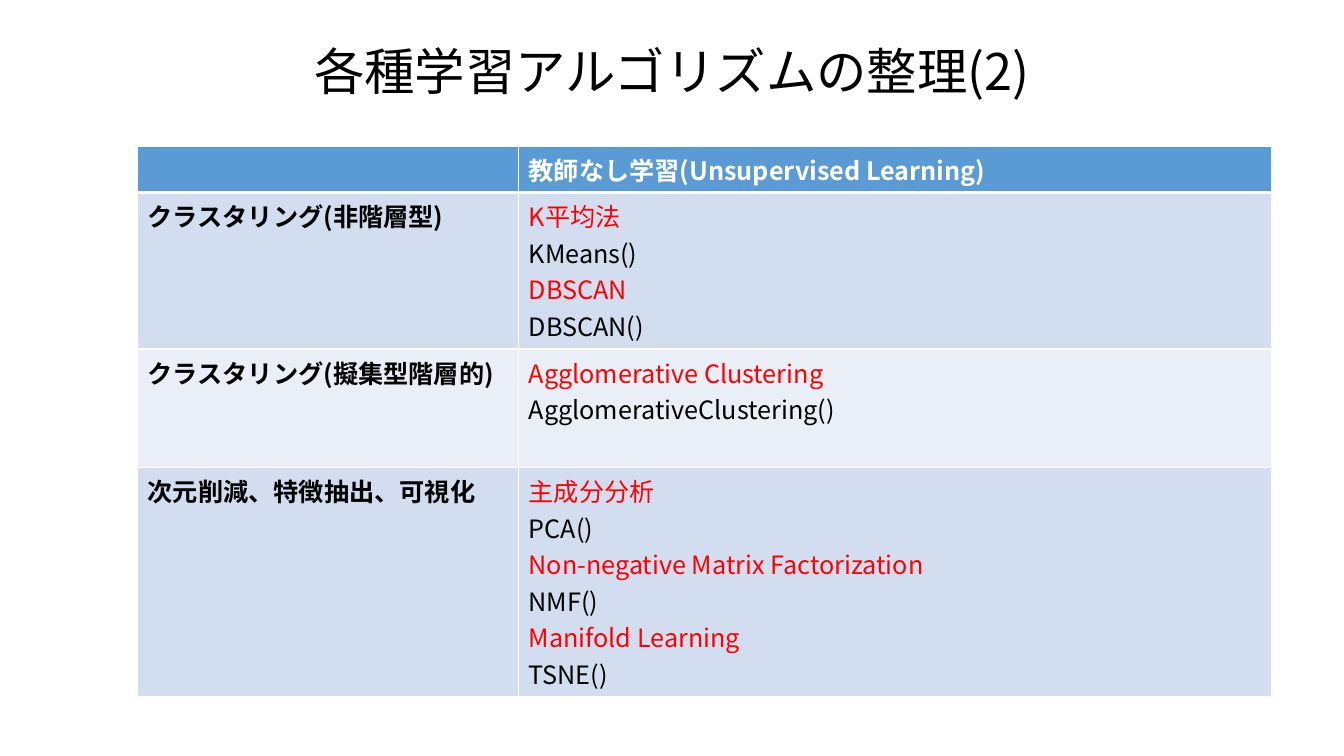
from lxml.etree import SubElement
from pptx import Presentation
from pptx.dml.color import RGBColor
from pptx.enum.text import MSO_ANCHOR as Anchor, MSO_AUTO_SIZE as AutoSize, PP_ALIGN as Align
from pptx.oxml.ns import qn
from pptx.util import Emu, Pt

PX = 9525
FONT = "Noto Sans CJK JP"
BLACK, WHITE, RED = "000000", "FFFFFF", "FF0000"
HEADER_FILL = "5B9BD5"
BAND_FILLS = ["D2DEEF", "EAEFF7"]
COL_WIDTHS = [363, 717]
ROW_HEIGHTS = [43, 149, 113, 218]
TITLE = "各種学習アルゴリズムの整理(2)"
HEADER = "教師なし学習(Unsupervised Learning)"
METHODS = [
    ("クラスタリング(非階層型)",
     [("K平均法", "KMeans()"), ("DBSCAN", "DBSCAN()")]),
    ("クラスタリング(擬集型階層的)",
     [("Agglomerative Clustering", "AgglomerativeClustering()")]),
    ("次元削減、特徴抽出、可視化",
     [("主成分分析", "PCA()"),
      ("Non-negative Matrix Factorization", "NMF()"),
      ("Manifold Learning", "TSNE()")]),
]


def px(n):
    return Emu(n * PX)


def rgb(color):
    return RGBColor.from_string(color)


def add_text(p, text, size=18, color=BLACK, bold=False):
    r = p.add_run()
    r.text = text
    r.font.size = Pt(size)
    r.font.bold = bold
    r.font.name = FONT
    r.font.color.rgb = rgb(color)
    SubElement(r._r.get_or_add_rPr(), qn("a:ea"), typeface=FONT)


def add_border(cell, side, width):
    ln = SubElement(cell._tc.get_or_add_tcPr(), qn(f"a:ln{side}"), w=str(Pt(width)))
    fill = SubElement(ln, qn("a:solidFill"))
    SubElement(fill, qn("a:srgbClr"), val=WHITE)


def style_cell(cell, fill, top=1, bottom=1):
    for side, width in (("L", 1), ("R", 1), ("T", top), ("B", bottom)):
        add_border(cell, side, width)
    cell.fill.solid()
    cell.fill.fore_color.rgb = rgb(fill)


def add_methods(tf, methods):
    p = tf.paragraphs[0]
    for i, (name, function) in enumerate(methods):
        if i:
            p = tf.add_paragraph()
        add_text(p, name, color=RED)
        add_text(tf.add_paragraph(), function)


def set_title(s):
    sp = s.shapes.title
    sp.left, sp.top, sp.width, sp.height = px(88), px(38), px(1104), px(65)
    tf = sp.text_frame
    tf.auto_size = AutoSize.NONE
    tf.vertical_anchor = Anchor.MIDDLE
    p = tf.paragraphs[0]
    p.alignment = Align.CENTER
    p.line_spacing = 0.9
    add_text(p, TITLE, size=36)


def add_methods_table(s):
    frame = s.shapes.add_table(len(ROW_HEIGHTS), len(COL_WIDTHS), px(131), px(139),
                               px(sum(COL_WIDTHS)), px(sum(ROW_HEIGHTS)))
    table = frame.table
    table.first_row = table.horz_banding = False
    for col, width in zip(table.columns, COL_WIDTHS):
        col.width = px(width)
    for row, height in zip(table.rows, ROW_HEIGHTS):
        row.height = px(height)
    for cell in table.rows[0].cells:
        style_cell(cell, HEADER_FILL, bottom=3)
    add_text(table.cell(0, 1).text_frame.paragraphs[0], HEADER, color=WHITE, bold=True)
    for i, (category, methods) in enumerate(METHODS):
        category_cell, methods_cell = table.rows[i + 1].cells
        for cell in (category_cell, methods_cell):
            style_cell(cell, BAND_FILLS[i % 2], top=1 if i else 3)
        add_text(category_cell.text_frame.paragraphs[0], category, bold=True)
        add_methods(methods_cell.text_frame, methods)


def main():
    prs = Presentation()
    prs.slide_width, prs.slide_height = px(1280), px(720)
    s = prs.slides.add_slide(prs.slide_layouts[5])
    set_title(s)
    add_methods_table(s)
    prs.save("out.pptx")


if __name__ == "__main__":
    main()
